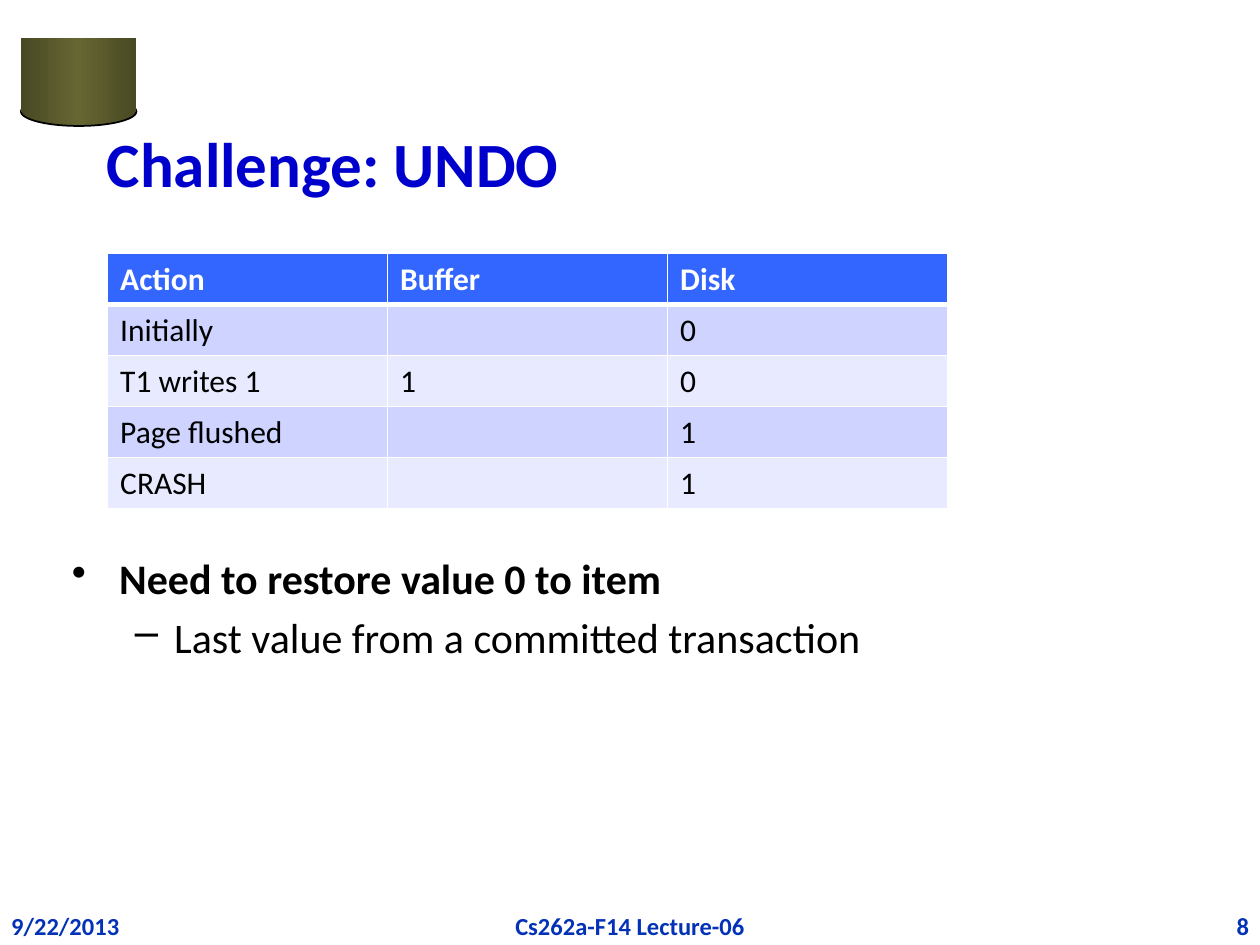
import copy
from typing import NamedTuple

import pptx
import pptx.chart.data
import pptx.dml.color
import pptx.enum.shapes
import pptx.enum.text
import pptx.oxml
import pptx.oxml.ns
import pptx.util

Pt = pptx.util.Pt
qn = pptx.oxml.ns.qn
SHAPE = pptx.enum.shapes.MSO_SHAPE
ALIGN = pptx.enum.text.PP_ALIGN
ANCHOR = pptx.enum.text.MSO_ANCHOR

COLORS = {
    "black": "000000",
    "white": "FFFFFF",
    "title": "0000CC",
    "footer": "0332B7",
    "header": "3366FF",
    "odd_row": "CED3FF",
    "even_row": "E8EAFF",
    "olive": "666633",
    "dark_olive": "494924",
}
FONT = "Calibri"


class Box(NamedTuple):
    x: float
    y: float
    w: float
    h: float


class Footer(NamedTuple):
    text: str
    box: Box
    align: ALIGN


class Bullet(NamedTuple):
    text: str
    char: str
    level: int
    margin: float
    hanging: float
    before: float
    bold: bool


FOOTERS = [
    Footer("9/22/2013", Box(-0.7, 517, 99.4, 24.5), ALIGN.LEFT),
    Footer("8", Box(621.4, 517, 99.4, 24.5), ALIGN.RIGHT),
    Footer("Cs262a-F14 Lecture-06", Box(247, 517, 226, 24.5), ALIGN.CENTER),
]
BULLETS = [
    Bullet("Need to restore value 0 to item", "•", 0, 27, 27, 0, True),
    Bullet("Last value from a committed transaction", "–", 1, 58.5, 22.5, 4.8, False),
]
ROWS = [
    ("Action", "Buffer", "Disk"),
    ("Initially", "", "0"),
    ("T1 writes 1", "1", "0"),
    ("Page flushed", "", "1"),
    ("CRASH", "", "1"),
]


def rgb(name: str) -> pptx.dml.color.RGBColor:
    return pptx.dml.color.RGBColor.from_string(COLORS[name])


def place(box: Box) -> list:
    return [Pt(v) for v in box]


def write(p, text: str, *, size: float, color: str = "black",
          bold: bool = False, align: ALIGN = ALIGN.LEFT) -> None:
    p.alignment = align
    r = p.add_run()
    r.text = text
    r.font.name = FONT
    r.font.size = Pt(size)
    r.font.bold = bold
    r.font.color.rgb = rgb(color)


def add_box(s, box: Box, anchor: ANCHOR = ANCHOR.TOP):
    tf = s.shapes.add_textbox(*place(box)).text_frame
    tf.word_wrap = True
    tf.vertical_anchor = anchor
    return tf


def add_drum_part(s, kind: SHAPE, box: Box, outlined: bool) -> None:
    sp = s.shapes.add_shape(kind, *place(box))
    sp.shadow.inherit = False
    sp.fill.gradient()
    sp.fill.gradient_angle = 0
    stops = sp._element.spPr.find(qn("a:gradFill")).find(qn("a:gsLst"))
    stops.append(copy.deepcopy(stops[0]))
    shades = ("dark_olive", "olive", "dark_olive")
    for i, (stop, shade) in enumerate(zip(sp.fill.gradient_stops, shades)):
        stop.position = i / 2
        stop.color.rgb = rgb(shade)
    if outlined:
        sp.line.color.rgb = rgb("black")
        sp.line.width = Pt(1)
    else:
        sp.line.fill.background()


def add_bullet(p, b: Bullet) -> None:
    p.level = b.level
    p.space_before = Pt(b.before)
    pPr = p._p.get_or_add_pPr()
    pPr.set("marL", str(Pt(b.margin)))
    pPr.set("indent", str(-Pt(b.hanging)))
    pPr.append(pptx.oxml.parse_xml(
        f'<a:buChar {pptx.oxml.ns.nsdecls("a")} char="{b.char}"/>'))
    write(p, b.text, size=24, bold=b.bold)


def set_borders(cell, top: float, bottom: float) -> None:
    tcPr = cell._tc.get_or_add_tcPr()
    for side, width in (("L", 1), ("R", 1), ("T", top), ("B", bottom)):
        tcPr.append(pptx.oxml.parse_xml(
            f'<a:ln{side} {pptx.oxml.ns.nsdecls("a")} w="{Pt(width)}">'
            f'<a:solidFill><a:srgbClr val="{COLORS["white"]}"/></a:solidFill>'
            f'</a:ln{side}>'))


def add_state_table(s, box: Box) -> None:
    table = s.shapes.add_table(len(ROWS), len(ROWS[0]), *place(box)).table
    for column in table.columns:
        column.width = Pt(box.w / len(ROWS[0]))
    for i, row in enumerate(ROWS):
        table.rows[i].height = Pt(box.h / len(ROWS))
        head = i == 0
        fill = "header" if head else "odd_row" if i % 2 else "even_row"
        for j, text in enumerate(row):
            cell = table.cell(i, j)
            set_borders(cell, top=3 if i == 1 else 1, bottom=3 if head else 1)
            cell.fill.solid()
            cell.fill.fore_color.rgb = rgb(fill)
            if text:
                write(cell.text_frame.paragraphs[0], text, size=18, bold=head,
                      color="white" if head else "black")


def main() -> None:
    prs = pptx.Presentation()
    prs.slide_width, prs.slide_height = Pt(720), Pt(540)
    s = prs.slides.add_slide(prs.slide_layouts[6])

    add_drum_part(s, SHAPE.OVAL, Box(12, 55.5, 66, 16.5), True)
    add_drum_part(s, SHAPE.RECTANGLE, Box(12, 21.5, 66, 42.5), False)

    for f in FOOTERS:
        write(add_box(s, f.box).paragraphs[0], f.text, size=14,
              color="footer", bold=True, align=f.align)

    tf = add_box(s, Box(54, 48, 612, 90), ANCHOR.MIDDLE)
    write(tf.paragraphs[0], "Challenge: UNDO", size=36, color="title", bold=True)

    tf = add_box(s, Box(34, 312, 620.5, 167))
    for i, b in enumerate(BULLETS):
        add_bullet(tf.add_paragraph() if i else tf.paragraphs[0], b)

    add_state_table(s, Box(61.5, 145, 480, 145.75))
    prs.save("out.pptx")


if __name__ == "__main__":
    main()
